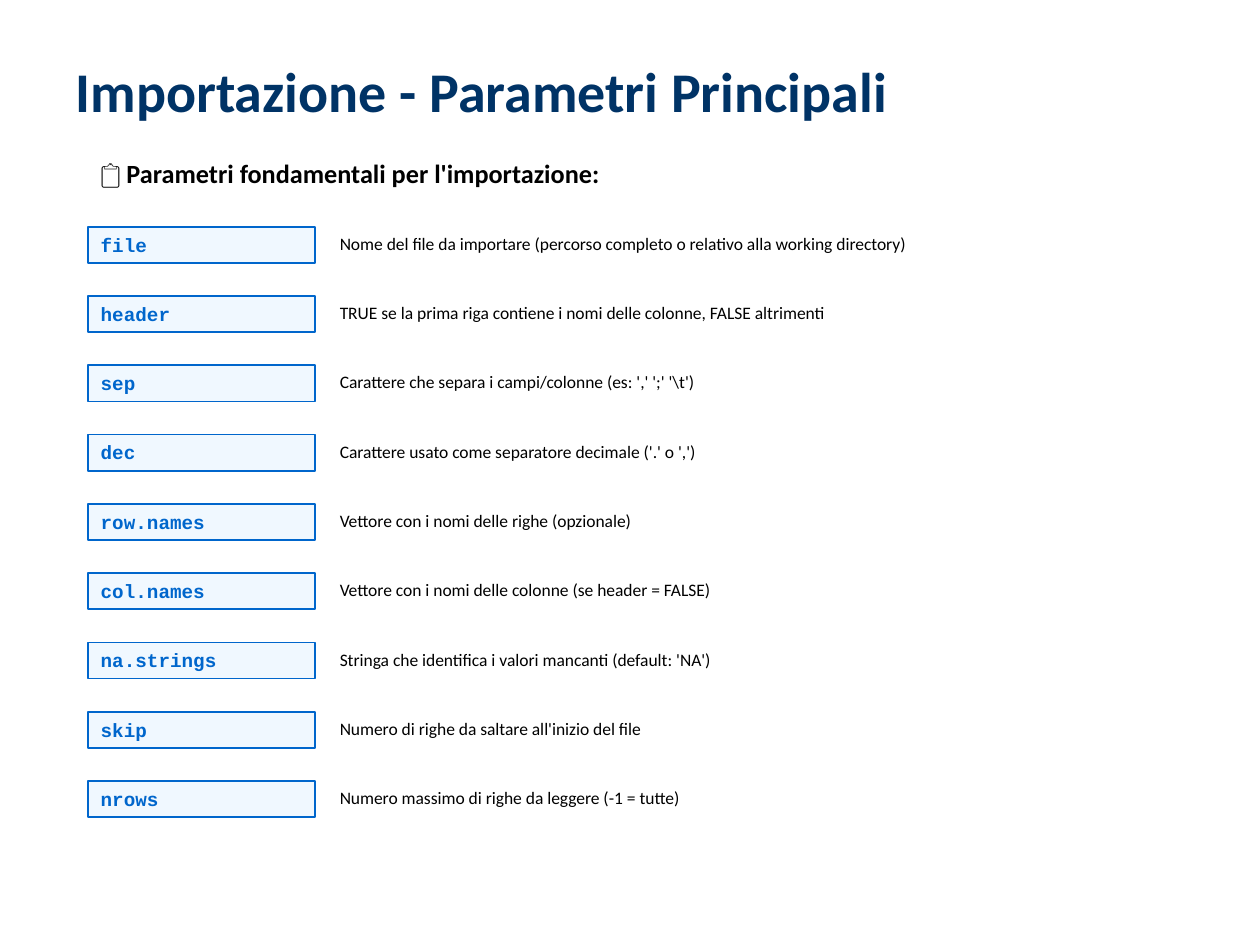
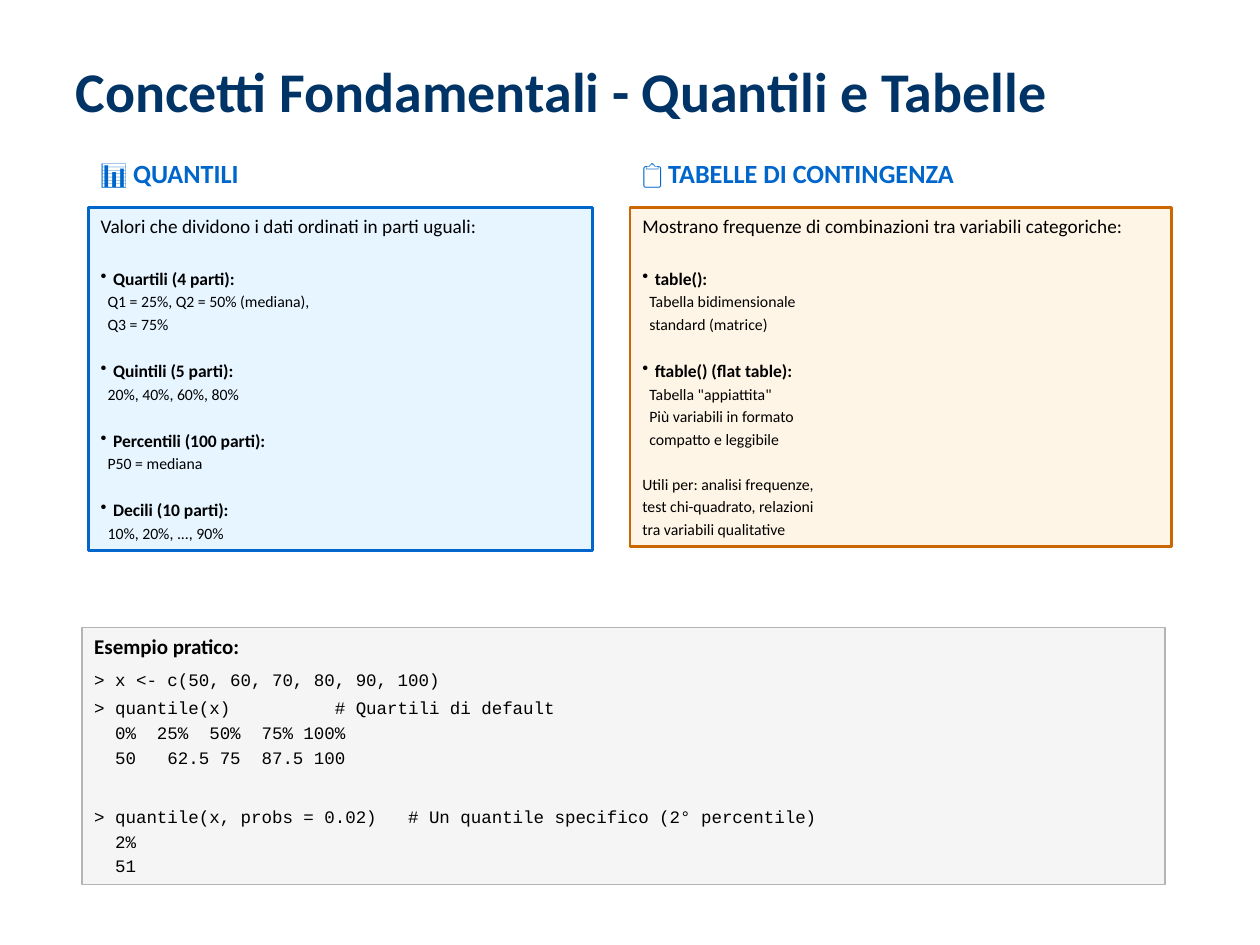
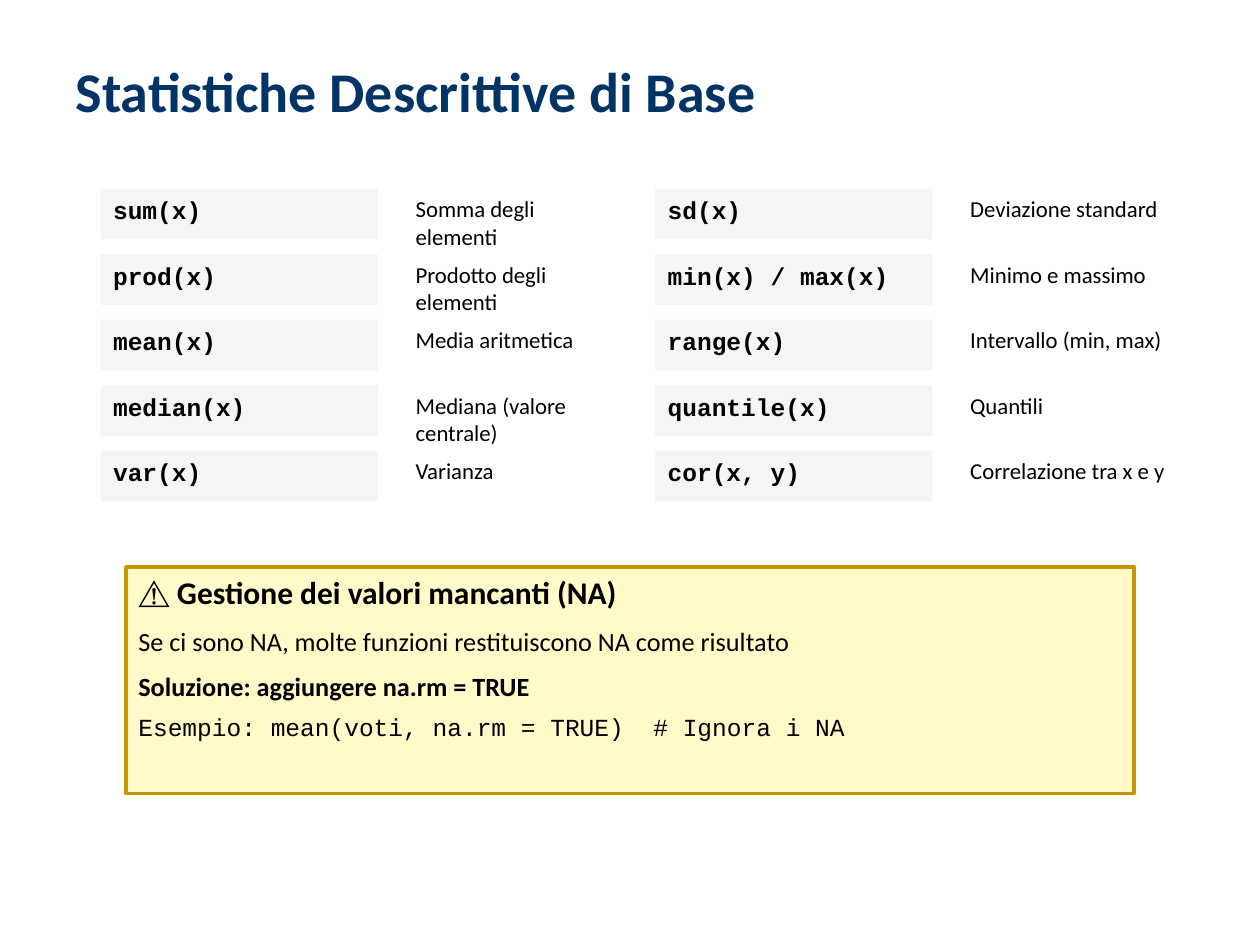
"""Build three slides on importing data and descriptive statistics in R."""
from pptx import Presentation
from pptx.dml.color import RGBColor
from pptx.enum.shapes import MSO_SHAPE as Shape
from pptx.enum.text import MSO_ANCHOR as Anchor, PP_ALIGN as Align
from pptx.util import Cm, Pt
from lxml.etree import SubElement
from pptx.oxml.ns import qn

NAVY, BLUE, BLACK = "003366", "0066CC", "000000"
PALE_BLUE, SKY, CREAM, ORANGE = "F0F8FF", "E6F5FF", "FFF5E6", "CC6600"
LIGHT_GREY, GREY, YELLOW, GOLD = "F5F5F5", "B4B4B4", "FFFAC8", "C89600"
BODY, MONO = "Calibri", "Courier New"

TITLE_AREA = (1.27, 1.02, 22.86, 1.63)
HEADING = dict(size=15, bold=True)
LEAD = dict(size=11)
TOPIC = dict(size=10, bold=True, before=15, bullet=True)
FIRST_TOPIC = TOPIC | dict(before=17.4)
DETAIL = dict(size=9, before=2, indent=0.14)
USE = dict(size=9, before=2)
CODE = dict(size=10, font=MONO)

PARAMETERS = [
    ("file", "Nome del file da importare (percorso completo o relativo alla working directory)"),
    ("header", "TRUE se la prima riga contiene i nomi delle colonne, FALSE altrimenti"),
    ("sep", "Carattere che separa i campi/colonne (es: ',' ';' '\\t')"),
    ("dec", "Carattere usato come separatore decimale ('.' o ',')"),
    ("row.names", "Vettore con i nomi delle righe (opzionale)"),
    ("col.names", "Vettore con i nomi delle colonne (se header = FALSE)"),
    ("na.strings", "Stringa che identifica i valori mancanti (default: 'NA')"),
    ("skip", "Numero di righe da saltare all'inizio del file"),
    ("nrows", "Numero massimo di righe da leggere (-1 = tutte)"),
]

QUANTILES = [
    ("Valori che dividono i dati ordinati in parti uguali:", LEAD),
    ("Quartili (4 parti):", FIRST_TOPIC),
    ("Q1 = 25%, Q2 = 50% (mediana),", DETAIL),
    ("Q3 = 75%", DETAIL),
    ("Quintili (5 parti):", TOPIC),
    ("20%, 40%, 60%, 80%", DETAIL),
    ("Percentili (100 parti):", TOPIC),
    ("P50 = mediana", DETAIL),
    ("Decili (10 parti):", TOPIC),
    ("10%, 20%, ..., 90%", DETAIL),
]

CONTINGENCY = [
    ("Mostrano frequenze di combinazioni tra variabili categoriche:", LEAD),
    ("table():", FIRST_TOPIC),
    ("Tabella bidimensionale", DETAIL),
    ("standard (matrice)", DETAIL),
    ("ftable() (flat table):", TOPIC),
    ('Tabella "appiattita"', DETAIL),
    ("Più variabili in formato", DETAIL),
    ("compatto e leggibile", DETAIL),
    ("Utili per: analisi frequenze,", USE | dict(before=15)),
    ("test chi-quadrato, relazioni", USE),
    ("tra variabili qualitative", USE),
]

CONCEPTS = [
    ("📊 QUANTILI", QUANTILES, 1.78, 10.16, 6.91, SKY, BLUE),
    ("📋 TABELLE DI CONTINGENZA", CONTINGENCY, 12.7, 10.92, 6.83, CREAM, ORANGE),
]

EXAMPLE = [
    ("Esempio pratico:", dict(size=12, bold=True)),
    ("> x <- c(50, 60, 70, 80, 90, 100)", CODE | dict(before=6)),
    ("> quantile(x)          # Quartili di default", CODE | dict(before=4)),
    ("  0%  25%  50%  75% 100%", CODE | dict(before=2)),
    ("  50   62.5 75  87.5 100", CODE | dict(before=2)),
    ("> quantile(x, probs = 0.02)   # Un quantile specifico (2° percentile)",
     CODE | dict(before=22)),
    ("  2%", CODE | dict(before=2)),
    ("  51", CODE | dict(before=2)),
]

STATISTICS = [
    [("sum(x)", "Somma degli elementi"),
     ("prod(x)", "Prodotto degli elementi"),
     ("mean(x)", "Media aritmetica"),
     ("median(x)", "Mediana (valore centrale)"),
     ("var(x)", "Varianza")],
    [("sd(x)", "Deviazione standard"),
     ("min(x) / max(x)", "Minimo e massimo"),
     ("range(x)", "Intervallo (min, max)"),
     ("quantile(x)", "Quantili"),
     ("cor(x, y)", "Correlazione tra x e y")],
]

MISSING = [
    ("⚠️ Gestione dei valori mancanti (NA)", dict(size=18, bold=True)),
    ("Se ci sono NA, molte funzioni restituiscono NA come risultato",
     dict(size=15, before=8)),
    ("Soluzione: aggiungere na.rm = TRUE", dict(size=15, bold=True, before=8)),
    ("Esempio: mean(voti, na.rm = TRUE)  # Ignora i NA",
     dict(size=14, font=MONO, before=6)),
]


def rgb(value):
    """Turn a hex string into a colour."""
    return RGBColor.from_string(value)


def write(frame, text, size=10, font=BODY, color=BLACK, bold=False,
          before=0, bullet=False, indent=0):
    """Add one formatted paragraph to a text frame."""
    paragraph = frame.add_paragraph() if frame.text else frame.paragraphs[0]
    paragraph.alignment = Align.LEFT
    properties = paragraph._p.get_or_add_pPr()
    if bullet:
        properties.set("marL", str(Cm(0.25)))
        properties.set("indent", str(-Cm(0.25)))
        SubElement(properties, qn("a:buChar")).set("char", "•")
    elif indent:
        properties.set("marL", str(Cm(indent)))
        properties.set("indent", "0")
    if before:
        paragraph.space_before = Pt(before)
    run = paragraph.add_run()
    run.text = text
    run.font.size, run.font.name, run.font.bold = Pt(size), font, bold
    run.font.color.rgb = rgb(color)


def place(slide, area, lines, fill=None, edge=None, weight=1):
    """Put lines of text in a plain text box or a filled rectangle."""
    area = [Cm(length) for length in area]
    if fill:
        panel = slide.shapes.add_shape(Shape.RECTANGLE, *area)
        panel.shadow.inherit = False
        panel.fill.solid()
        panel.fill.fore_color.rgb = rgb(fill)
        if edge:
            panel.line.color.rgb = rgb(edge)
            panel.line.width = Pt(weight)
        else:
            panel.line.fill.background()
    else:
        panel = slide.shapes.add_textbox(*area)
    frame = panel.text_frame
    frame.word_wrap = True
    frame.vertical_anchor = Anchor.TOP
    for text, style in lines:
        write(frame, text, **style)


def add_slide(deck, title):
    """Add a slide with the shared title style."""
    slide = deck.slides.add_slide(deck.slide_layouts[5])
    heading = slide.shapes.title
    heading.left, heading.top, heading.width, heading.height = map(Cm, TITLE_AREA)
    heading.text_frame.vertical_anchor = Anchor.TOP
    write(heading.text_frame, title, size=32, color=NAVY, bold=True)
    return slide


def add_parameters(deck):
    """Build the list of import parameters."""
    slide = add_slide(deck, "Importazione - Parametri Principali")
    place(slide, (1.78, 3.05, 21.84, 0.89),
          [("📋 Parametri fondamentali per l'importazione:", HEADING)])
    for row, (parameter, meaning) in enumerate(PARAMETERS):
        top = 4.57 + row * 1.397
        place(slide, (1.78, top, 4.57, 0.73),
              [(parameter, dict(size=11, font=MONO, color=BLUE, bold=True))],
              PALE_BLUE, BLUE)
        place(slide, (6.6, top, 17.02, 0.69), [(meaning, dict(size=10))])


def add_concepts(deck):
    """Build the two concept panels and the worked example."""
    slide = add_slide(deck, "Concetti Fondamentali - Quantili e Tabelle")
    for heading, lines, left, width, height, fill, edge in CONCEPTS:
        place(slide, (left, 3.05, width, 0.89),
              [(heading, HEADING | dict(color=BLUE))])
        place(slide, (left, 4.19, width, height), lines, fill, edge, 1.5)
    place(slide, (1.65, 12.65, 21.84, 5.18), EXAMPLE, LIGHT_GREY, GREY)


def add_statistics(deck):
    """Build the grid of functions and the note on missing values."""
    slide = add_slide(deck, "Statistiche Descrittive di Base")
    for column, functions in enumerate(STATISTICS):
        left = 2.03 + column * 11.18
        for row, (function, meaning) in enumerate(functions):
            top = 3.81 + row * 1.32
            place(slide, (left, top, 5.59, 1.02),
                  [(function, dict(size=14, font=MONO, bold=True))], LIGHT_GREY)
            place(slide, (left + 6.1, top, 4.57, 1.02),
                  [(meaning, dict(size=13))])
    place(slide, (2.54, 11.43, 20.32, 4.57), MISSING, YELLOW, GOLD, 2)


def main():
    """Build and save the deck."""
    deck = Presentation()
    deck.slide_width, deck.slide_height = Cm(25.4), Cm(19.05)
    add_parameters(deck)
    add_concepts(deck)
    add_statistics(deck)
    deck.save("out.pptx")


if __name__ == "__main__":
    main()
